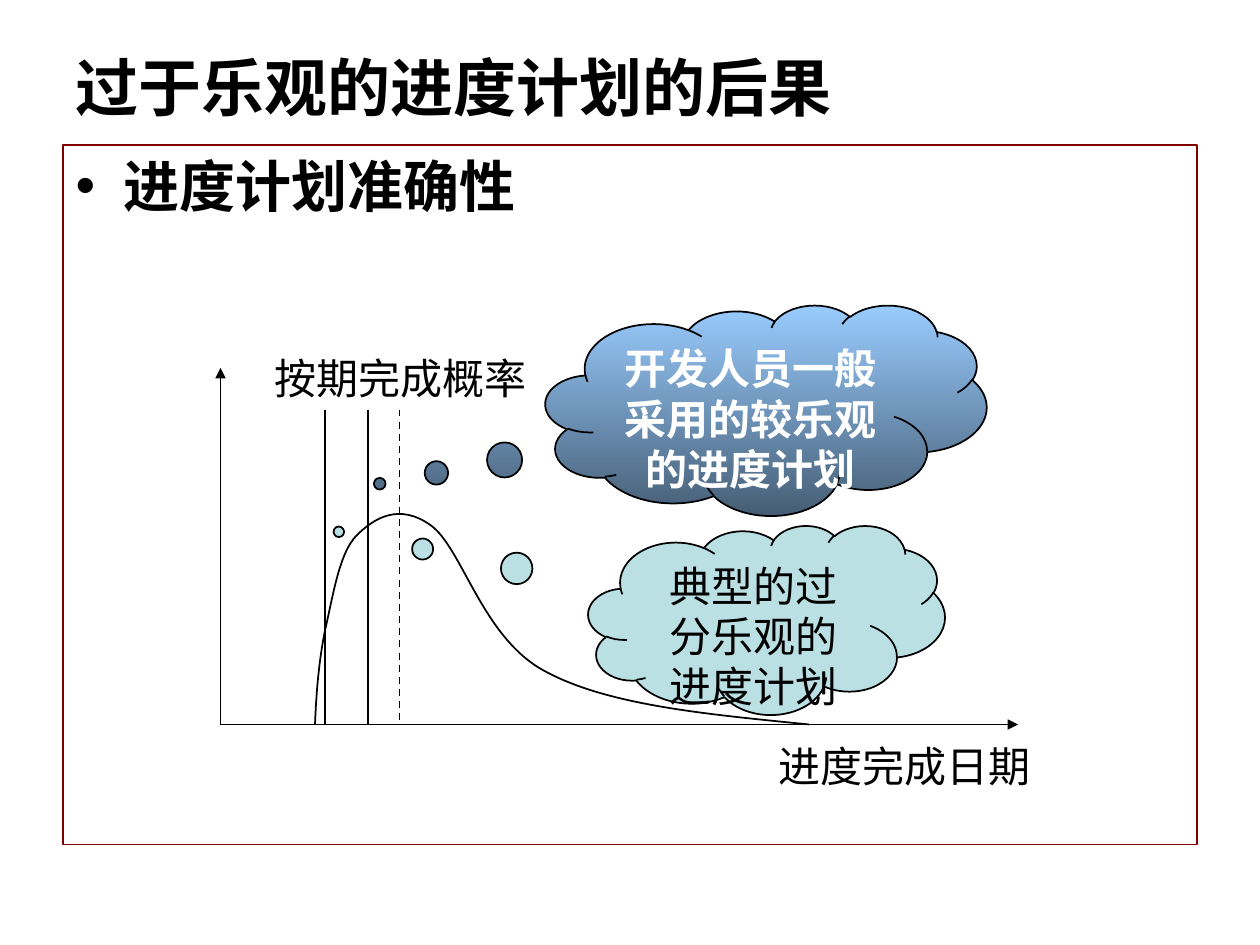
from lxml.etree import SubElement
from pptx import Presentation
from pptx.dml.color import RGBColor
from pptx.enum.dml import MSO_LINE as Dash
from pptx.enum.shapes import MSO_CONNECTOR as Connector, MSO_SHAPE as Shape
from pptx.enum.text import MSO_ANCHOR as Anchor, MSO_AUTO_SIZE as AutoSize, PP_ALIGN as Align
from pptx.oxml.ns import qn
from pptx.util import Inches, Pt

BLACK = "000000"
TITLE_FORMAT = {"name": "Lato", "size": Pt(36), "bold": True}
BULLET_FORMAT = {"name": "Lato", "size": Pt(32), "bold": True}
LABEL_FORMAT = {"name": "Times New Roman", "size": Pt(24), "bold": False}
CALLOUT_FORMAT = {**LABEL_FORMAT, "bold": True}

CURVE_START = (0.75, 0)
CURVE_POINTS = [
    (0.76, 0.25), (0.78, 0.5), (0.83, 0.75),
    (0.89, 1), (0.94, 1.36), (1.08, 1.5),
    (1.22, 1.64), (1.42, 1.76), (1.67, 1.58),
    (1.92, 1.4), (2.08, 0.68), (2.58, 0.42),
    (3.08, 0.15), (3.87, 0.08), (4.67, 0),
]


def color(value):
    return RGBColor.from_string(value)


def place(shape, box):
    for name, value in zip(("left", "top", "width", "height"), box):
        setattr(shape, name, Inches(value))


def write(shape, text, font_format, font_color=BLACK, align=Align.LEFT, anchor=Anchor.TOP):
    frame = shape.text_frame
    frame.word_wrap = True
    frame.auto_size = AutoSize.NONE
    frame.vertical_anchor = anchor
    paragraph = frame.paragraphs[0]
    paragraph.text = text
    paragraph.alignment = align
    paragraph.space_before = Pt(0)
    for name, value in font_format.items():
        setattr(paragraph.font, name, value)
    paragraph.font.color.rgb = color(font_color)
    return paragraph


def outline(shape, line_color=BLACK, width=1):
    shape.line.color.rgb = color(line_color)
    shape.line.width = Pt(width)


def add_title(slide, box, text):
    title = slide.shapes.title
    place(title, box)
    write(title, text, TITLE_FORMAT, anchor=Anchor.MIDDLE)


def add_body(slide, box, text):
    body = slide.placeholders[1]
    place(body, box)
    outline(body, "800000", 0.75)
    paragraph = write(body, text, BULLET_FORMAT)
    properties = paragraph._p.get_or_add_pPr()
    properties.set("marL", str(Inches(0.38)))
    properties.set("indent", str(Inches(-0.38)))


def add_line(slide, start, end, dash=None, arrow=False):
    ends = [Inches(value) for value in (*start, *end)]
    line = slide.shapes.add_connector(Connector.STRAIGHT, *ends)
    outline(line)
    if dash:
        line.line.dash_style = dash
    if arrow:
        SubElement(line.line._get_or_add_ln(), qn("a:tailEnd"), type="triangle", w="med", len="med")
    SubElement(line._element.spPr, qn("a:effectLst"))


def add_label(slide, box, text):
    label = slide.shapes.add_textbox(*[Inches(value) for value in box])
    write(label, text, LABEL_FORMAT)


def add_curve(slide, left, baseline):
    def locate(point):
        return Inches(left + point[0]), Inches(baseline - point[1])

    builder = slide.shapes.build_freeform(*locate(CURVE_START))
    builder.add_line_segments([locate(point) for point in CURVE_POINTS], close=False)
    curve = builder.convert_to_shape()
    curve.shadow.inherit = False
    curve.fill.background()
    outline(curve)
    segments = list(curve._element.iter(qn("a:lnTo")))
    for first in range(0, len(segments), 3):
        bezier = SubElement(segments[first].getparent(), qn("a:cubicBezTo"))
        for segment in segments[first:first + 3]:
            bezier.append(segment[0])
            segment.getparent().remove(segment)


def add_cloud(slide, box, text, tail, fills, font_format, font_color):
    cloud = slide.shapes.add_shape(Shape.CLOUD_CALLOUT, *[Inches(value) for value in box])
    cloud.shadow.inherit = False
    for index, value in enumerate(tail):
        cloud.adjustments[index] = value
    if len(fills) > 1:
        cloud.fill.gradient()
        cloud.fill.gradient_angle = 270
        for stop, position, value in zip(cloud.fill.gradient_stops, (0, 1), fills):
            stop.position = position
            stop.color.rgb = color(value)
    else:
        cloud.fill.solid()
        cloud.fill.fore_color.rgb = color(fills[0])
    outline(cloud)
    write(cloud, text, font_format, font_color, Align.CENTER)


def add_probability_diagram(slide, box):
    left, top, width, height = box
    baseline = top + 3
    origin = (left, baseline)

    def add_date_line(offset, dash=None):
        add_line(slide, (left + offset, top + 0.5), (left + offset, baseline), dash)

    add_line(slide, origin, (left, top + 0.17), arrow=True)
    add_line(slide, origin, (left + 6.33, baseline), arrow=True)
    add_curve(slide, left, baseline)
    add_label(slide, (left + width - 2.42, top + height - 0.5, 2.42, 0.5), "进度完成日期")
    add_label(slide, (left + 0.33, top, 2.42, 0.5), "按期完成概率")
    add_date_line(1.42, Dash.DASH)
    add_date_line(1.17)
    add_cloud(slide, (left + 2.58, top - 0.33, 3.5, 1.67), "开发人员一般采用的较乐观的进度计划",
              (-0.876, 0.35), ("99CCFF", "465E75"), CALLOUT_FORMAT, "FFFFFF")
    add_date_line(0.83)
    add_cloud(slide, (left + 2.92, top + 1.42, 2.83, 1.5), "典型的过分乐观的进度计划",
              (-1.2, -0.466), ("BBE0E3",), LABEL_FORMAT, BLACK)


def main():
    presentation = Presentation()
    presentation.slide_width = Inches(10)
    presentation.slide_height = Inches(7.5)
    slide = presentation.slides.add_slide(presentation.slide_layouts[1])
    add_title(slide, (0.5, 0.3, 9, 0.77), "过于乐观的进度计划的后果")
    add_body(slide, (0.5, 1.15, 9, 5.55), "进度计划准确性")
    add_probability_diagram(slide, (1.75, 2.75, 6.75, 3.58))
    presentation.save("out.pptx")


if __name__ == "__main__":
    main()
